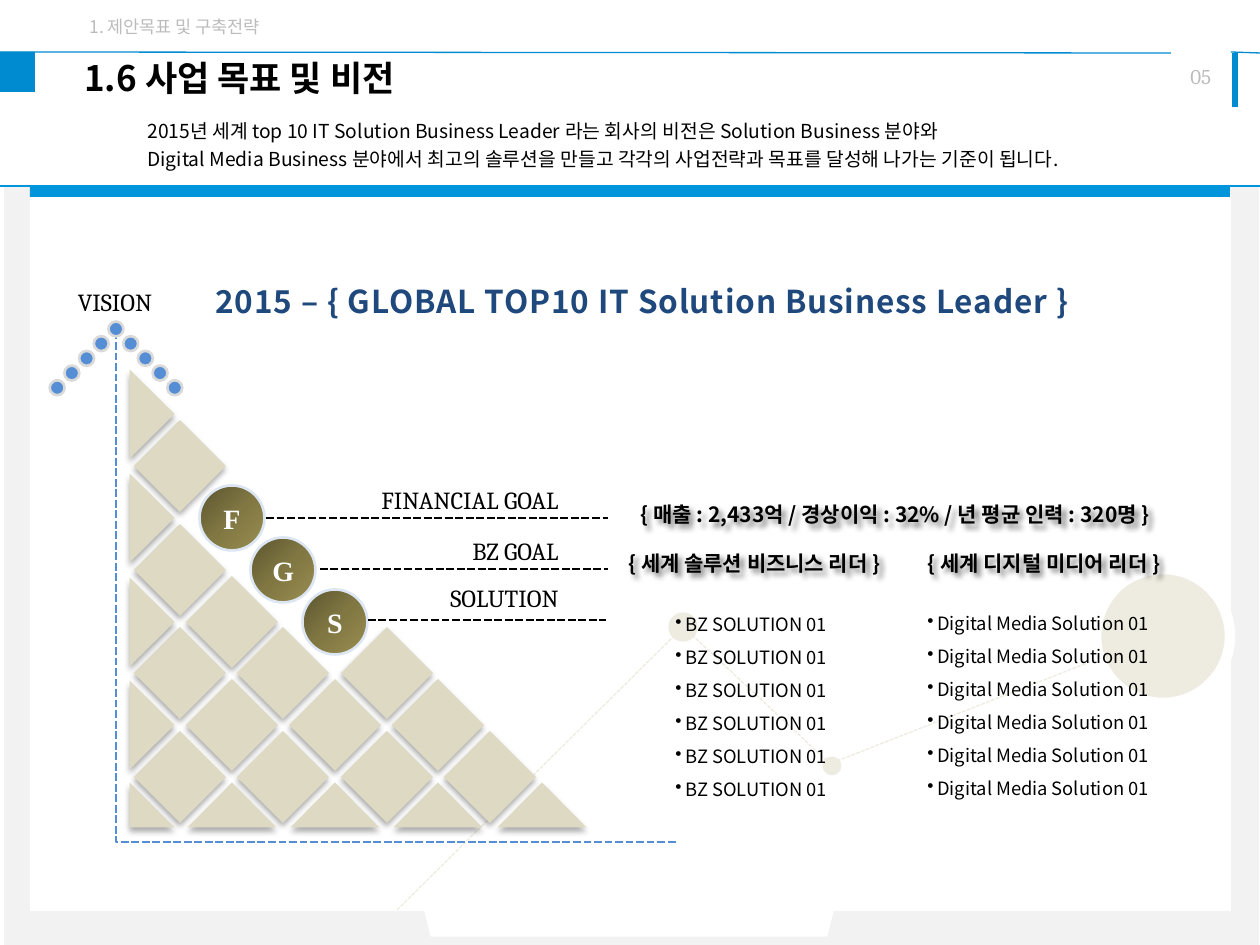
import copy

import lxml.etree
import pptx
import pptx.dml.color
import pptx.enum.dml
import pptx.enum.shapes
import pptx.enum.text
import pptx.oxml.ns
import pptx.util

PX = 914400 / 126
SHAPE = pptx.enum.shapes.MSO_SHAPE
LINK = pptx.enum.shapes.MSO_CONNECTOR
ALIGN = pptx.enum.text.PP_ALIGN
SANS, SERIF, ROMAN = "Noto Sans CJK KR", "Cambria", "Times New Roman"
COLORS = {
    "white": "FFFFFF", "black": "000000", "page": "F2F2F2", "bar": "0095DA",
    "accent": "008ACF", "cream": "EEECE1", "tile": "DDD9C3", "muted": "BCBCBC",
    "navy": "1F497D", "dot": "558ED5", "ring": "D9D9D9", "rim": "DCE6F2",
    "olive1": "5A542F", "olive2": "817743", "olive3": "998D4F",
}
TILE_SHADOW = {"alpha": 32, "blur": 3.5, "dist": 2.2, "angle": 90}
TEXT_SHADOW = {"alpha": 50, "blur": 3, "dist": 3, "angle": 45}
HEADING = {"name": SERIF, "size": 14}
LABEL = {"name": SANS, "size": 12, "bold": True}
ITEM = {"name": SANS, "size": 10.5}


def px(n):
    return round(n * PX)


def rgb(key):
    return pptx.dml.color.RGBColor.from_string(COLORS[key])


def sub(parent, tag, **attrs):
    el = lxml.etree.SubElement(parent, pptx.oxml.ns.qn(tag))
    for k, v in attrs.items():
        el.set(k, str(v))
    return el


def shape(s, kind, box, fill=None, line=None, width=0.75, rotation=0):
    sp = s.shapes.add_shape(kind, *map(px, box))
    sp.shadow.inherit = False
    sp.rotation = rotation
    if fill:
        sp.fill.solid()
        sp.fill.fore_color.rgb = rgb(fill)
    else:
        sp.fill.background()
    if line:
        sp.line.color.rgb = rgb(line)
        sp.line.width = pptx.util.Pt(width)
    else:
        sp.line.fill.background()
    return sp


def centered(s, kind, x, y, w, h, **fmt):
    return shape(s, kind, (x - w / 2, y - h / 2, w, h), **fmt)


def cast_shadow(sp, alpha, blur, dist, angle):
    effects = sp._element.spPr.find(pptx.oxml.ns.qn("a:effectLst"))
    outer = sub(effects, "a:outerShdw", blurRad=round(blur * 12700),
                dist=round(dist * 12700), dir=angle * 60000, rotWithShape=0)
    sub(sub(outer, "a:srgbClr", val=COLORS["black"]), "a:alpha", val=alpha * 1000)


def tile(s, kind, x, y, w, h, rotation=0):
    sp = centered(s, kind, x, y, w, h, fill="tile", rotation=rotation)
    cast_shadow(sp, **TILE_SHADOW)


def line(s, ends, color, width=0.75, dashed=False, kind=LINK.STRAIGHT):
    c = s.shapes.add_connector(kind, *map(px, ends))
    c.line.color.rgb = rgb(color)
    c.line.width = pptx.util.Pt(width)
    if dashed:
        c.line.dash_style = pptx.enum.dml.MSO_LINE.SQUARE_DOT
    sub(c._element.spPr, "a:effectLst")
    return c


def write(sp, lines, font, color="black", align=ALIGN.LEFT, spacing=None,
          tracking=0, bullet=False):
    tf = sp.text_frame
    for i, text in enumerate(lines):
        p = tf.add_paragraph() if i else tf.paragraphs[0]
        p.alignment = align
        p.line_spacing = spacing
        if bullet:
            pPr = p._p.get_or_add_pPr()
            pPr.set("marL", str(px(10)))
            pPr.set("indent", str(px(-10)))
            sub(pPr, "a:buChar", char="•")
        r = p.add_run()
        r.text = text
        for k, v in font.items():
            setattr(r.font, k, pptx.util.Pt(v) if k == "size" else v)
        r.font.color.rgb = rgb(color)
        rPr = r._r.get_or_add_rPr()
        sub(rPr, "a:ea", typeface=font["name"])
        if tracking:
            rPr.set("spc", str(tracking))


def textbox(s, box, lines, font, wrap=True, **fmt):
    sp = s.shapes.add_textbox(*map(px, box))
    sp.text_frame.word_wrap = wrap
    sp.text_frame.auto_size = pptx.enum.text.MSO_AUTO_SIZE.SHAPE_TO_FIT_TEXT
    write(sp, lines, font, **fmt)


def label(s, kind, box, text):
    sp = shape(s, kind, box)
    cast_shadow(sp, **TEXT_SHADOW)
    write(sp, [text], LABEL, align=ALIGN.CENTER)
    return sp


def badge(s, letter, x, y):
    sp = centered(s, SHAPE.OVAL, x, y, 65, 65, line="rim", width=1.5)
    sp.fill.gradient()
    sp.fill.gradient_angle = 315
    stops = sp._element.spPr.find(".//" + pptx.oxml.ns.qn("a:gsLst"))
    stops.insert(1, copy.deepcopy(stops[0]))
    for i, stop in enumerate(sp.fill.gradient_stops):
        stop.position = i / 2
        stop.color.rgb = rgb(f"olive{i + 1}")
    write(sp, [letter], {"name": ROMAN, "size": 16, "bold": True}, "white", ALIGN.CENTER)


def frame(s):
    shape(s, SHAPE.RECTANGLE, (4, 185, 1255, 760), "page")
    line(s, (0, 186, 1260, 186), "bar")
    shape(s, SHAPE.RECTANGLE, (30, 192, 1201, 719), "white")
    for x, y, d, edge, width in ((683, 627, 24, "cream", 3), (832, 766, 15, "cream", 2.25),
                                 (1163, 636, 134, "white", 6)):
        centered(s, SHAPE.OVAL, x, y, d, d, fill="cream", line=edge, width=width)
    for ends in ((397, 910, 675, 635), (692, 635, 827, 761), (837, 761, 1095, 660)):
        line(s, ends, "cream", dashed=True)
    shape(s, SHAPE.RECTANGLE, (30, 187, 1200, 10), "bar")
    sp = shape(s, SHAPE.RECTANGLE, (135, 108, 1076, 69), "white")
    sp.text_frame.vertical_anchor = pptx.enum.text.MSO_ANCHOR.TOP
    write(sp, ["2015년 세계 top 10 IT Solution Business Leader 라는 회사의 비전은 Solution Business 분야와",
               "Digital Media Business 분야에서 최고의 솔루션을 만들고 각각의 사업전략과 목표를 달성해 나가는 기준이 됩니다."],
          {"name": SANS, "size": 11}, spacing=pptx.util.Pt(16))
    line(s, (0, 52, 1171, 53), "accent")
    shape(s, SHAPE.RECTANGLE, (0, 52, 35, 40), "accent")
    line(s, (1231, 52, 1260, 53), "accent")
    line(s, (1235, 53, 1235, 107), "accent", 3)
    textbox(s, (1178, 57, 47, 38), ["05"], {"name": SERIF, "size": 12}, wrap=False, color="muted")
    textbox(s, (77, 10, 227, 34), ["1. 제안목표 및 구축전략"], {"name": SANS, "size": 10}, color="muted")
    textbox(s, (72, 50, 381, 55), ["1.6 사업 목표 및 비전"], {"name": SANS, "size": 20, "bold": True})
    shape(s, SHAPE.TRAPEZOID, (425, 911, 408, 25), "white", "white", rotation=180)


def pyramid(s):
    """Build the tile lattice, its badges, the dashed axis and the dotted arrow."""
    def col(k):
        return round(180 + 51.7 * k)

    def row(j):
        return round(777 - 51.8 * j)

    badges = {(1, 5): "F", (2, 4): "G", (3, 3): "S"}
    for k in range(7):
        for j in range(k % 2, 7 - k, 2):
            if (k, j) in badges:
                badge(s, badges[k, j], col(k), row(j))
            else:
                tile(s, SHAPE.RECTANGLE, col(k), row(j), 65, 65, 315)
    for n in range(1, 8, 2):
        tile(s, SHAPE.ISOSCELES_TRIANGLE, 152, row(n), 89, 45, 90)
        tile(s, SHAPE.ISOSCELES_TRIANGLE, col(n), 805, 89, 45)
    tile(s, SHAPE.RIGHT_TRIANGLE, 152, 805, 45, 45)
    axis = line(s, (116, 321, 678, 842), "dot", 1.5, True, LINK.ELBOW)
    guides = axis._element.spPr.find(".//" + pptx.oxml.ns.qn("a:avLst"))
    sub(guides, "a:gd", name="adj1", fmla="val 0")
    for n in range(-4, 5):
        centered(s, SHAPE.OVAL, 116 + 14.7 * n, 329 + 14.7 * abs(n), 15, 15,
                 fill="dot", line="ring", width=1.5)


def goals(s):
    for text, x, y, start, level, end in (("FINANCIAL GOAL", 325, 479, 266, 518, 608),
                                          ("BZ GOAL", 443, 530, 320, 569, 608),
                                          ("SOLUTION", 404, 577, 368, 620, 606)):
        line(s, (start, level, end, level), "black", 1.5, True)
        textbox(s, (x, y, 571 - x, 43), [text], HEADING, align=ALIGN.RIGHT)
    textbox(s, (55, 281, 120, 43), ["VISION"], HEADING, align=ALIGN.CENTER)
    textbox(s, (197, 276, 891, 50), ["2015 – { GLOBAL TOP10 IT Solution Business Leader }"],
            {"name": SANS, "size": 18, "bold": True}, wrap=False, color="navy",
            align=ALIGN.CENTER, tracking=50)
    sp = label(s, SHAPE.ROUNDED_RECTANGLE, (578, 486, 634, 57),
               "{ 매출 : 2,433억 / 경상이익 : 32% / 년 평균 인력 : 320명 }")
    sp.adjustments[0] = 0.11
    for x, w, text, left, top, width, item in (
            (597, 315, "{ 세계 솔루션 비즈니스 리더 }", 663, 596, 184, "BZ SOLUTION 01"),
            (898, 292, "{ 세계 디지털 미디어 리더 }", 915, 595, 256, "Digital Media Solution 01")):
        label(s, SHAPE.ROUND_2_SAME_RECTANGLE, (x, 534, w, 55), text)
        textbox(s, (left, top, width, 213), [item] * 6, ITEM, wrap=False, spacing=1.5, bullet=True)


def main():
    prs = pptx.Presentation()
    prs.slide_width, prs.slide_height = px(1260), px(945)
    s = prs.slides.add_slide(prs.slide_layouts[6])
    frame(s)
    pyramid(s)
    goals(s)
    prs.save("out.pptx")


if __name__ == "__main__":
    main()
